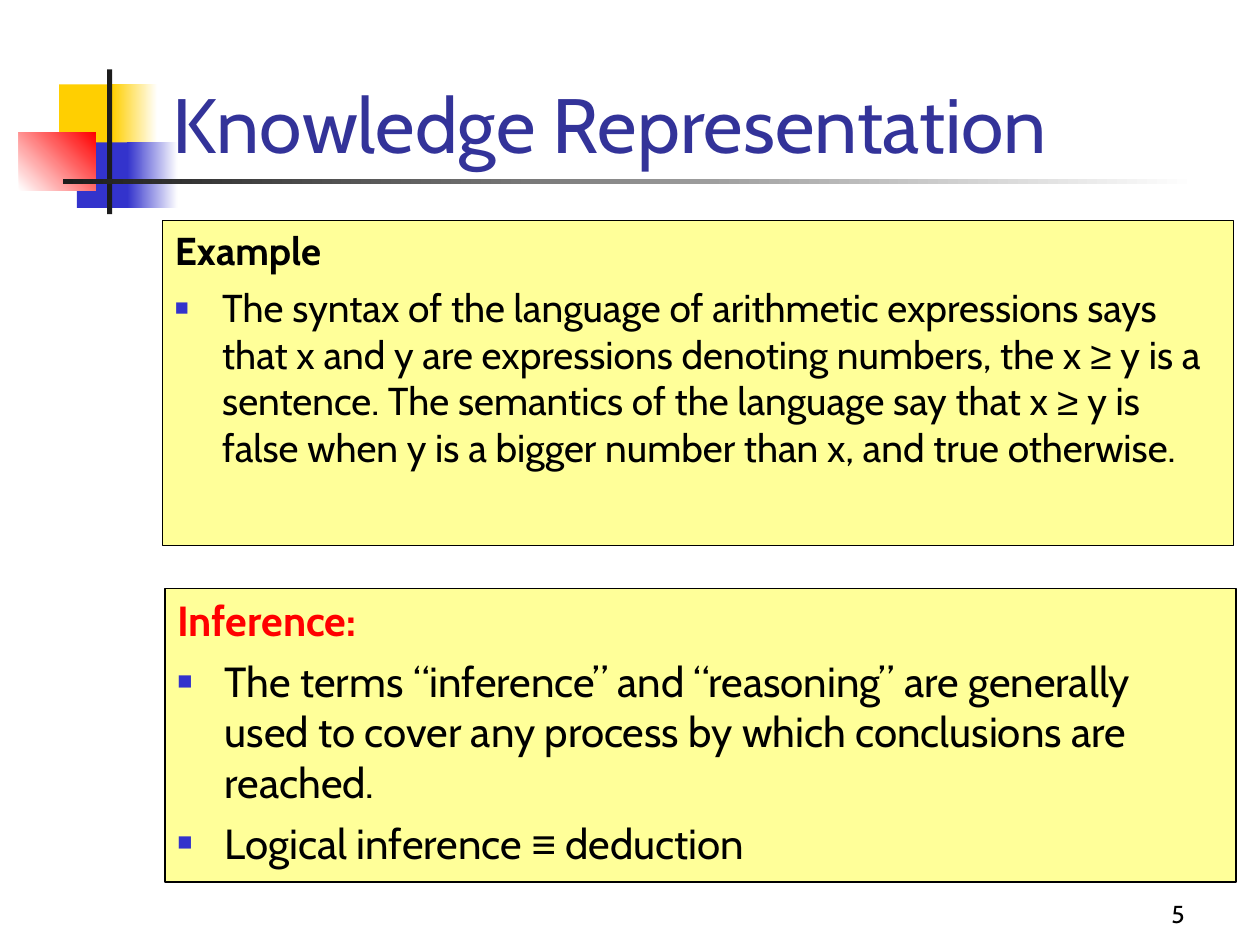
from lxml import etree
from pptx import Presentation
from pptx.dml.color import RGBColor
from pptx.enum.shapes import MSO_SHAPE
from pptx.enum.text import MSO_ANCHOR, MSO_AUTO_SIZE, PP_ALIGN
from pptx.oxml.ns import qn
from pptx.util import Pt

RECT = MSO_SHAPE.RECTANGLE
TOP, BOTTOM = MSO_ANCHOR.TOP, MSO_ANCHOR.BOTTOM
LEFT, RIGHT = PP_ALIGN.LEFT, PP_ALIGN.RIGHT
NO_FIT = MSO_AUTO_SIZE.NONE
FONT, SYMBOL_FONT = "Cabin", "Arial"
SYMBOLS = "≥≡"
COLORS = {
    "white": "FFFFFF", "black": "000000", "yellow": "FFCF01", "blue": "3333CC",
    "red": "FF0000", "dark": "1C1C1C", "title": "333399", "panel": "FFFF99",
}


def rgb(name):
    return RGBColor.from_string(COLORS[name])


def style(r, size, color, bold=False):
    r.font.name = SYMBOL_FONT if r.text in SYMBOLS else FONT
    r.font.size = Pt(size)
    r.font.bold = bold
    r.font.color.rgb = rgb(color)


prs = Presentation()
prs.slide_width, prs.slide_height = Pt(720), Pt(540)
s = prs.slides.add_slide(prs.slide_layouts[5])

decorations = [
    (33.8, 48.2, 34.6, 37.4, ["yellow"], 0),
    (64.1, 48.2, 25.9, 37.4, ["yellow", "white"], 0),
    (43.9, 81.4, 33.1, 37.4, ["blue"], 0),
    (72.7, 81.4, 28.8, 37.4, ["blue", "white"], 0),
    (10.8, 75.6, 43.9, 33.1, ["white", "red"], 45),
    (61.2, 39.6, 2.9, 82.8, ["dark"], 0),
    (36, 102.2, 648, 2.9, ["dark", "white"], 0),
]
for x, y, w, h, fills, angle in decorations:
    sp = s.shapes.add_shape(RECT, Pt(x), Pt(y), Pt(w), Pt(h))
    sp.shadow.inherit = False
    sp.line.fill.background()
    if len(fills) == 1:
        sp.fill.solid()
        sp.fill.fore_color.rgb = rgb(fills[0])
    else:
        sp.fill.gradient()
        sp.fill.gradient_angle = angle
        for stop, color, position in zip(sp.fill.gradient_stops, fills, (0, 1)):
            stop.color.rgb = rgb(color)
            stop.position = position

number = s.shapes.add_textbox(Pt(534.2), Pt(498.2), Pt(149.8), Pt(36))
tf = number.text_frame
tf.word_wrap = True
tf.vertical_anchor = BOTTOM
p = tf.paragraphs[0]
p.text = "5"
p.alignment = RIGHT
style(p.runs[0], 14, "black")

title = s.shapes.title
s.shapes._spTree.append(title._element)
title.left, title.top, title.width, title.height = Pt(91.4), Pt(10.1), Pt(613.4), Pt(90)
tf = title.text_frame
tf.text = "Knowledge Representation"
tf.auto_size = NO_FIT
tf.vertical_anchor = BOTTOM
p = tf.paragraphs[0]
p.alignment = LEFT
style(p.runs[0], 44, "title")

panels = [
    (92.9, 126, 185.8, 22.2, "Example", "black", [
        ["The syntax of the language of arithmetic expressions says that x and y "
         "are expressions denoting numbers, the x ", "≥",
         " y is a sentence. The semantics of the language say that x ", "≥",
         " y is false when y is a bigger number than x, and true otherwise."],
    ]),
    (94.3, 336.2, 167.8, 24, "Inference:", "red", [
        ["The terms “inference” and “reasoning” are generally used to cover any "
         "process by which conclusions are reached."],
        ["Logical inference ", "≡", " deduction"],
    ]),
]
for x, y, h, size, heading, color, bullets in panels:
    sp = s.shapes.add_shape(RECT, Pt(x), Pt(y), Pt(612), Pt(h))
    sp.shadow.inherit = False
    sp.fill.solid()
    sp.fill.fore_color.rgb = rgb("panel")
    sp.line.color.rgb = rgb("black")
    sp.line.width = Pt(0.75)
    tf = sp.text_frame
    tf.word_wrap = True
    tf.vertical_anchor = TOP
    for i, pieces in enumerate([[heading]] + bullets):
        p = tf.add_paragraph() if i else tf.paragraphs[0]
        p.alignment = LEFT
        p.space_before = Pt(6)
        for piece in pieces:
            r = p.add_run()
            r.text = piece
            style(r, size, "black" if i else color, bold=i == 0)
        pPr = p._p.get_or_add_pPr()
        pPr.set("marL", str(Pt(27)))
        pPr.set("indent", str(-Pt(27)))
        if i:
            buClr = etree.SubElement(pPr, qn("a:buClr"))
            etree.SubElement(buClr, qn("a:srgbClr"), val=COLORS["blue"])
            etree.SubElement(pPr, qn("a:buSzPct"), val="60000")
            etree.SubElement(pPr, qn("a:buFont"), typeface=SYMBOL_FONT)
            etree.SubElement(pPr, qn("a:buChar"), char="■")

prs.save("out.pptx")
